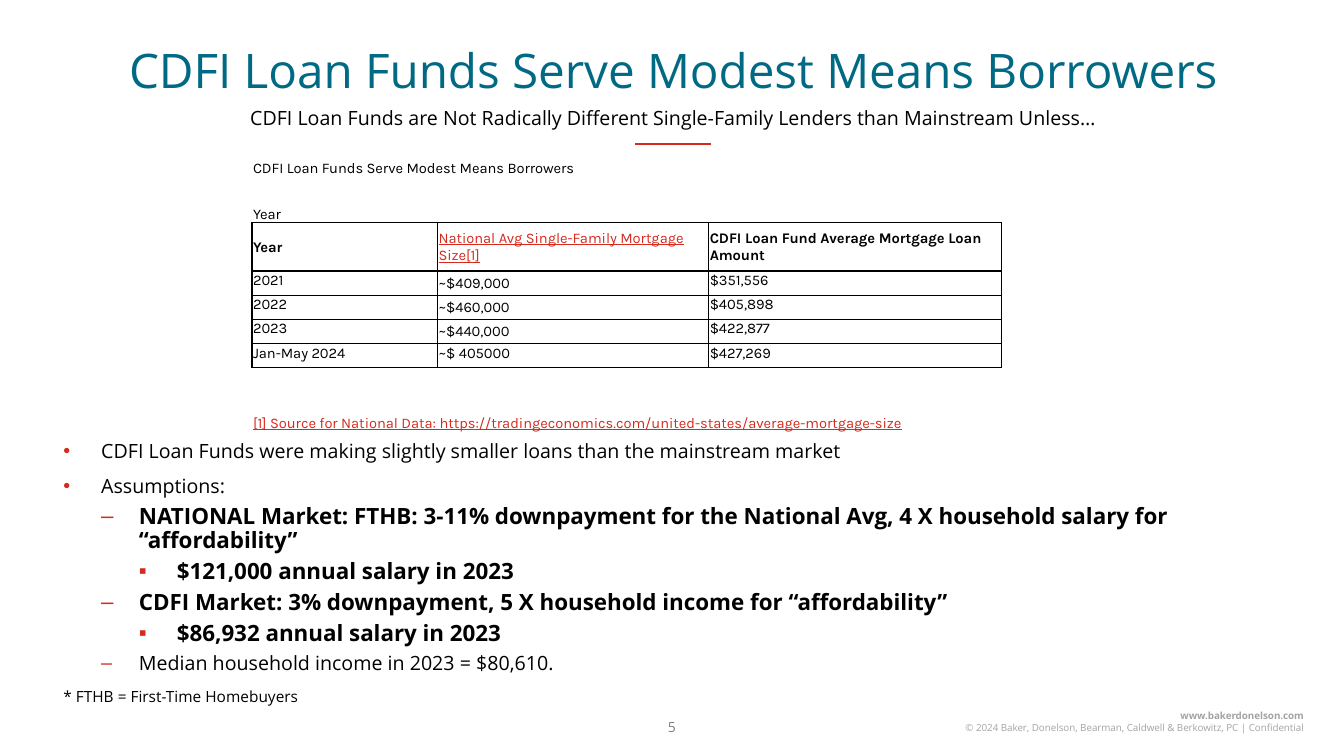
from lxml import etree
from pptx import Presentation
from pptx.dml.color import RGBColor
from pptx.enum.shapes import MSO_CONNECTOR
from pptx.enum.text import MSO_ANCHOR, MSO_AUTO_SIZE, PP_ALIGN
from pptx.oxml.ns import qn
from pptx.util import Inches, Pt

LEFT, CENTER, RIGHT = PP_ALIGN.LEFT, PP_ALIGN.CENTER, PP_ALIGN.RIGHT
TOP, MIDDLE, BOTTOM = MSO_ANCHOR.TOP, MSO_ANCHOR.MIDDLE, MSO_ANCHOR.BOTTOM
NO_FIT = MSO_AUTO_SIZE.NONE
STRAIGHT = MSO_CONNECTOR.STRAIGHT
SANS, KARLA = "Open Sans", "Karla"
BLACK, RED, TEAL = "000000", "D52B1E", "006983"
GREY, SILVER = "7F7F7F", "A2A4A3"
MARKS = "•–▪"
STEP = 0.375

TITLE = "CDFI Loan Funds Serve Modest Means Borrowers"
SUBHEAD = ("CDFI Loan Funds are Not Radically Different Single-Family "
           "Lenders than Mainstream Unless…")
POINTS = [
    (0, "CDFI Loan Funds were making slightly smaller loans than the "
        "mainstream market", 14, False),
    (0, "Assumptions:", 14, False),
    (1, "NATIONAL Market: FTHB: 3-11% downpayment for the National Avg, "
        "4 X household salary for “affordability”", 16, True),
    (2, "$121,000 annual salary in 2023", 16, True),
    (1, "CDFI Market: 3% downpayment, 5 X household income for "
        "“affordability”", 16, True),
    (2, "$86,932 annual salary in 2023", 16, True),
    (1, "Median household income in 2023 = $80,610.", 14, False),
    (None, "* FTHB = First-Time Homebuyers", 11, False),
]
WIDTHS = [1.84, 2.69, 2.9]
HEIGHTS = [0.22, 0.22, 0.23, 0.48] + [0.24] * 4 + [0.22] * 3
HEAD, LAST = 3, 7
ROWS = [
    [TITLE, "", ""],
    ["", "", ""],
    ["Year", "", ""],
    ["Year", "National Avg Single-Family Mortgage Size[1]",
     "CDFI Loan Fund Average Mortgage Loan Amount"],
    ["2021", "~$409,000", "$351,556"],
    ["2022", "~$460,000", "$405,898"],
    ["2023", "~$440,000", "$422,877"],
    ["Jan-May 2024", "~$ 405000", "$427,269"],
    ["", "", ""],
    ["", "", ""],
    ["[1] Source for National Data: "
     "https://tradingeconomics.com/united-states/average-mortgage-size",
     "", ""],
]


def rgb(code):
    """Turn a hex string into a colour."""
    return RGBColor.from_string(code)


def write(para, text, size=14, color=BLACK, face=SANS, bold=False,
          under=False, align=LEFT):
    """Put one formatted run into a paragraph."""
    para.alignment = align
    run = para.add_run()
    run.text = text
    font = run.font
    font.name, font.size = face, Pt(size)
    font.bold, font.underline = bold, under
    font.color.rgb = rgb(color)


def setup(shape, left, top, width, height, anchor=TOP):
    """Place a text shape and return its wrapped frame."""
    shape.left, shape.top = Inches(left), Inches(top)
    shape.width, shape.height = Inches(width), Inches(height)
    frame = shape.text_frame
    frame.word_wrap, frame.auto_size = True, NO_FIT
    frame.vertical_anchor = anchor
    return frame


def textbox(slide, *place, anchor=TOP):
    """Add a text box and return its frame."""
    shape = slide.shapes.add_textbox(0, 0, 0, 0)
    return setup(shape, *place, anchor=anchor)


def bullet(para, level):
    """Give a paragraph the hanging red mark of its level."""
    props = para._p.get_or_add_pPr()
    props.set("marL", str(Inches(STEP * (level + 1))))
    props.set("indent", str(-Inches(STEP)))
    color = etree.SubElement(props, qn("a:buClr"))
    etree.SubElement(color, qn("a:srgbClr"), val=RED)
    etree.SubElement(props, qn("a:buFont"), typeface="Arial")
    etree.SubElement(props, qn("a:buChar"), char=MARKS[level])


def outline(frame, points):
    """Fill a frame with levelled points."""
    for num, (level, text, size, bold) in enumerate(points):
        para = frame.add_paragraph() if num else frame.paragraphs[0]
        para.line_spacing = 0.9
        if num:
            para.space_before = Pt(5 if level else 10)
        if level is not None:
            bullet(para, level)
        write(para, text, size, bold=bold)


def border(cell, sides):
    """Draw black edges on the given sides and clear the others."""
    props = cell._tc.get_or_add_tcPr()
    for side in "LRTB":
        edge = etree.SubElement(props, qn("a:ln" + side), w=str(Pt(1)))
        if side in sides:
            fill = etree.SubElement(edge, qn("a:solidFill"))
            etree.SubElement(fill, qn("a:srgbClr"), val=BLACK)
        else:
            etree.SubElement(edge, qn("a:noFill"))


def sides(row):
    """Name the edges drawn on the cells of a row."""
    if HEAD <= row <= LAST:
        return "LRTB"
    return {HEAD - 1: "B", LAST + 1: "T"}.get(row, "")


def anchor(row, col):
    """Choose the vertical place of text in a cell."""
    if row < HEAD:
        return BOTTOM
    if row == HEAD or row > LAST or (col == 1 and row < LAST):
        return MIDDLE
    return TOP


def loans(slide):
    """Add the table of mortgage sizes."""
    table = slide.shapes.add_table(
        len(ROWS), len(WIDTHS), Inches(2.5), Inches(1.54),
        Inches(sum(WIDTHS)), Inches(sum(HEIGHTS))).table
    table.first_row = table.horz_banding = False
    for col, width in zip(table.columns, WIDTHS):
        col.width = Inches(width)
    for line, height in zip(table.rows, HEIGHTS):
        line.height = Inches(height)
    end = len(ROWS) - 1
    for row, texts in enumerate(ROWS):
        for col, text in enumerate(texts):
            cell = table.cell(row, col)
            border(cell, sides(row))
            cell.fill.background()
            cell.margin_left = cell.margin_right = Inches(0.01)
            cell.margin_top, cell.margin_bottom = Inches(0.01), 0
            cell.vertical_anchor = anchor(row, col)
            para = cell.text_frame.paragraphs[0]
            if text:
                link = row == end or (row, col) == (HEAD, 1)
                write(para, text, 10.5, RED if link else BLACK, KARLA,
                      bold=row == HEAD and not link, under=link)
            else:
                etree.SubElement(para._p, qn("a:endParaRPr"), sz="1050")
    table.cell(0, 0).merge(table.cell(0, 1))
    table.cell(end, 0).merge(table.cell(end, 2))


def rule(slide):
    """Add the short red line under the headings."""
    line = slide.shapes.add_connector(
        STRAIGHT, Inches(6.3), Inches(1.43), Inches(7.05), Inches(1.43))
    line.line.color.rgb, line.line.width = rgb(RED), Pt(1.5)
    etree.SubElement(line._element.spPr, qn("a:effectLst"))


def footer(slide):
    """Add the page number and the copyright lines."""
    frame = textbox(slide, 5.75, 7.08, 1.83, 0.27)
    write(frame.paragraphs[0], "5", 10, GREY, align=CENTER)
    frame = textbox(slide, 8.1, 6.99, 4.93, 0.34)
    write(frame.paragraphs[0], "www.bakerdonelson.com", 7, SILVER,
          bold=True, align=RIGHT)
    write(frame.add_paragraph(),
          "© 2024 Baker, Donelson, Bearman, Caldwell & Berkowitz, PC"
          " | Confidential", 7, SILVER, align=RIGHT)


def main():
    """Build the slide and save it."""
    deck = Presentation()
    deck.slide_width, deck.slide_height = Inches(13.33), Inches(7.5)
    slide = deck.slides.add_slide(deck.slide_layouts[5])
    frame = setup(slide.shapes.title, 0.43, 0.41, 12.5, 0.55, MIDDLE)
    write(frame.paragraphs[0], TITLE, 34, TEAL, align=CENTER)
    frame = textbox(slide, 0.43, 1.02, 12.5, 0.3, anchor=MIDDLE)
    write(frame.paragraphs[0], SUBHEAD, align=CENTER)
    rule(slide)
    loans(slide)
    outline(textbox(slide, 0.53, 4.33, 12.62, 1.97), POINTS)
    footer(slide)
    deck.save("out.pptx")


if __name__ == "__main__":
    main()
